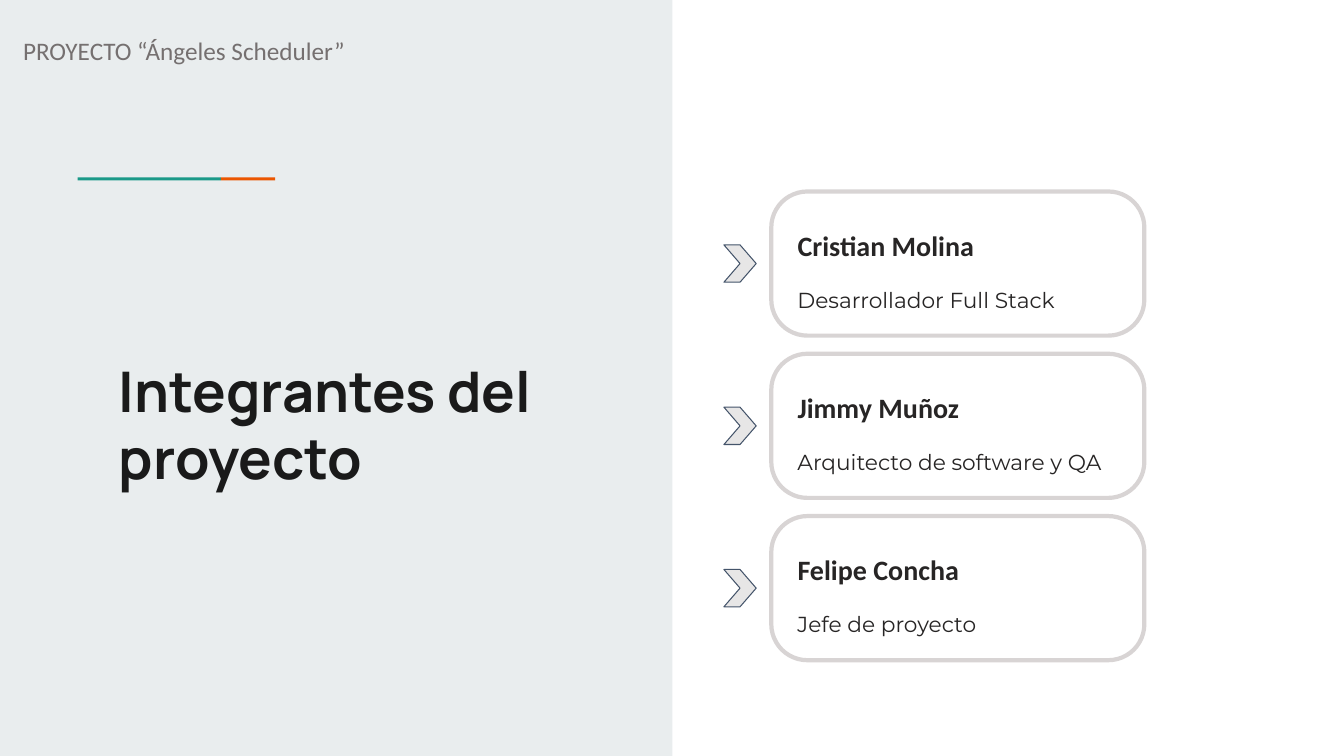
"""Build the slide that presents the project team members."""
from dataclasses import dataclass

from pptx import Presentation
from pptx.dml.color import RGBColor
from pptx.enum.shapes import MSO_SHAPE as Shape
from pptx.enum.text import MSO_ANCHOR as Anchor, MSO_AUTO_SIZE as AutoSize, PP_ALIGN as Align
from pptx.util import Inches, Pt


@dataclass(frozen=True)
class Theme:
    """Colours, fonts and type sizes of the slide."""
    panel: str = "E9EDEE"
    teal: str = "1A9988"
    orange: str = "EB5600"
    card: str = "FFFFFF"
    card_line: str = "D8D4D4"
    chevron: str = "E7E6E6"
    chevron_line: str = "44546A"
    title: str = "1A1A1A"
    header: str = "757070"
    body: str = "272525"
    title_font: str = "Manrope"
    label_font: str = "Calibri"
    role_font: str = "Montserrat"
    title_size: float = 40
    name_size: float = 20
    header_size: float = 18
    role_size: float = 15.5


class TeamSlide:
    """Draw styled elements on one slide."""

    def __init__(self, slide, theme):
        """Keep the slide and its theme."""
        self.slide = slide
        self.theme = theme

    def fill_text(self, frame, text, font, size, color, bold=False, insets=(0, 0), spacing=1.0):
        """Fill a text frame with one formatted run."""
        frame.word_wrap = True
        frame.auto_size = AutoSize.NONE
        frame.vertical_anchor = Anchor.TOP
        frame.margin_left = frame.margin_right = Inches(insets[0])
        frame.margin_top = frame.margin_bottom = Inches(insets[1])
        paragraph = frame.paragraphs[0]
        paragraph.alignment = Align.LEFT
        paragraph.line_spacing = spacing
        run = paragraph.add_run()
        run.text = text
        run.font.name = font
        run.font.size = Pt(size)
        run.font.bold = bold
        run.font.color.rgb = RGBColor.from_string(color)

    def title(self, text, left, top, width, height):
        """Place and format the title placeholder."""
        title = self.slide.shapes.title
        title.left, title.top = Inches(left), Inches(top)
        title.width, title.height = Inches(width), Inches(height)
        theme = self.theme
        self.fill_text(title.text_frame, text, theme.title_font, theme.title_size,
                       theme.title, True, (0.13, 0.13))

    def text(self, left, top, width, height, *content, **style):
        """Add a text box."""
        box = self.slide.shapes.add_textbox(
            Inches(left), Inches(top), Inches(width), Inches(height))
        self.fill_text(box.text_frame, *content, **style)

    def shape(self, kind, left, top, width, height, fill, line=None, weight=0, adjust=None):
        """Add a filled preset shape with an optional outline."""
        shape = self.slide.shapes.add_shape(
            kind, Inches(left), Inches(top), Inches(width), Inches(height))
        shape.shadow.inherit = False
        shape.fill.solid()
        shape.fill.fore_color.rgb = RGBColor.from_string(fill)
        if line:
            shape.line.color.rgb = RGBColor.from_string(line)
            shape.line.width = Pt(weight)
        else:
            shape.line.fill.background()
        if adjust is not None:
            shape.adjustments[0] = adjust

    def member(self, top, name, role):
        """Add a member card with its chevron, name and role."""
        theme = self.theme
        self.shape(Shape.ROUNDED_RECTANGLE, 7.65, top, 3.7, 1.43,
                   theme.card, theme.card_line, 3, 0.25)
        self.shape(Shape.CHEVRON, 7.18, top + 0.53, 0.32, 0.37,
                   theme.chevron, theme.chevron_line, 0.75, 0.5)
        self.text(7.91, top + 0.28, 2.75, 0.37, name, theme.label_font,
                  theme.name_size, theme.body, bold=True, spacing=1.25)
        self.text(7.91, top + 0.78, 3.3, 0.38, role, theme.role_font,
                  theme.role_size, theme.body, spacing=1.63)


def main():
    """Create and save the presentation."""
    presentation = Presentation()
    presentation.slide_width = Inches(13.33)
    presentation.slide_height = Inches(7.5)
    theme = Theme()
    team = TeamSlide(presentation.slides.add_slide(presentation.slide_layouts[5]), theme)

    team.shape(Shape.RECTANGLE, 0, 0, 6.67, 7.5, theme.panel)
    team.shape(Shape.RECTANGLE, 0.77, 1.76, 1.42, 0.03, theme.teal)
    team.shape(Shape.RECTANGLE, 2.19, 1.76, 0.54, 0.03, theme.orange)

    title = team.slide.shapes.title
    team.slide.shapes.element.append(title.element)
    team.title("Integrantes del proyecto", 1.05, 3.41, 4.81, 1.51)
    team.text(0.13, 0.3, 6.65, 0.4, "PROYECTO “Ángeles Scheduler”", theme.label_font,
              theme.header_size, theme.header, insets=(0.1, 0.05))

    members = [
        ("Cristian Molina", "Desarrollador Full Stack"),
        ("Jimmy Muñoz", "Arquitecto de software y QA"),
        ("Felipe Concha", "Jefe de proyecto"),
    ]
    for index, (name, role) in enumerate(members):
        team.member(1.9 + 1.61 * index, name, role)

    presentation.save("out.pptx")


if __name__ == "__main__":
    main()
